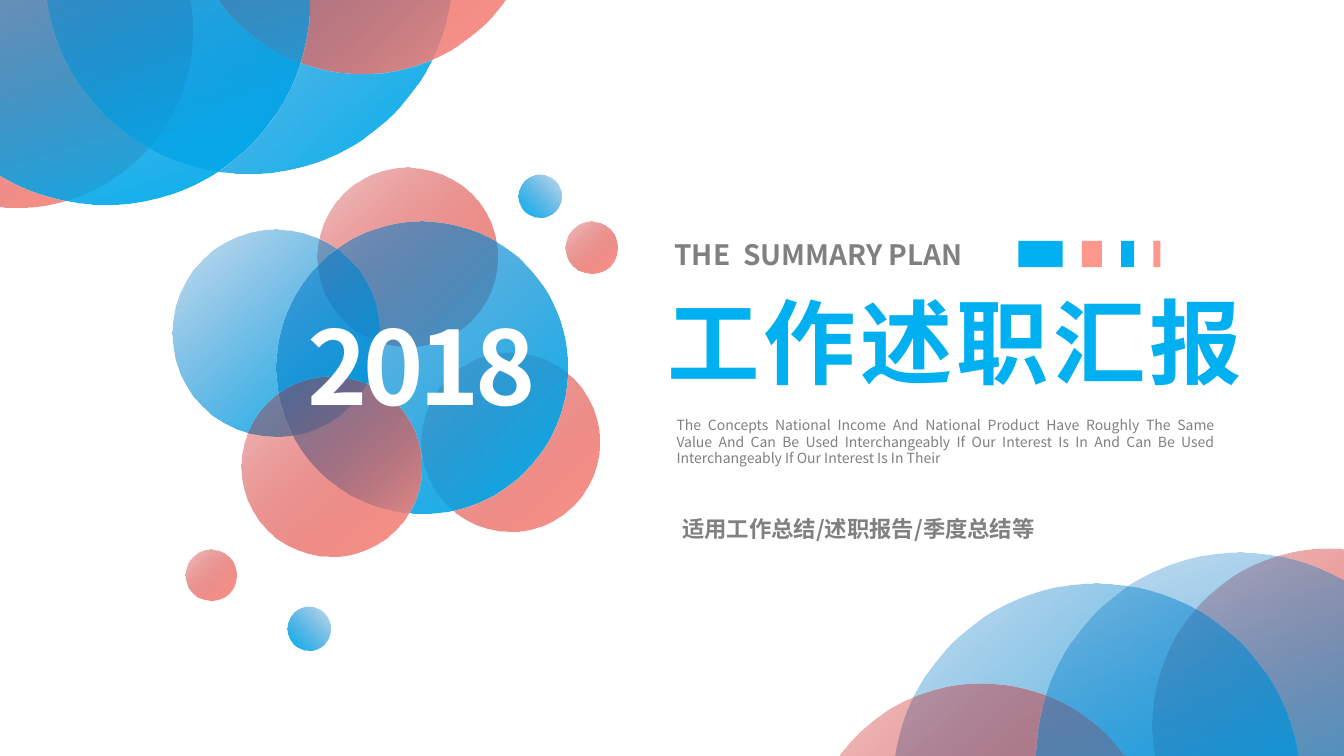
from lxml import etree
from pptx import Presentation
from pptx.dml.color import RGBColor as RGB
from pptx.enum.shapes import MSO_SHAPE as Shape
from pptx.enum.text import MSO_AUTO_SIZE as Auto, PP_ALIGN as Align
from pptx.oxml.ns import qn
from pptx.util import Inches, Pt

FONT = "Noto Sans CJK SC"
HUES = {"blue": "00B0F0", "navy": "0070C0", "rose": "FE978C", "red": "C00000",
        "gray": "808080", "white": "FFFFFF"}
FADES = {"blue": ("navy", "blue"), "rose": ("red", "rose")}
DOWN, STEEP, BACK = 312, 288, 225  # gradient angles, counter-clockwise

# left, top, diameter, hue, opacity of the pale end in percent, angle
CIRCLES = [
    (-1.59, -1.44, 3.5, "rose", 22, DOWN),
    (0.44, -2.33, 4.05, "blue", 22, DOWN),
    (1.84, -2.77, 3.5, "rose", 22, DOWN),
    (-0.98, -2.02, 4.05, "blue", 22, STEEP),
    (11.43, 5.44, 3.5, "rose", 22, DOWN),
    (8.85, 5.79, 4.05, "blue", 22, DOWN),
    (7.99, 6.78, 3.5, "rose", 22, DOWN),
    (10.28, 5.48, 4.05, "blue", 22, STEEP),
    (3.15, 1.66, 1.78, "rose", 22, DOWN),
    (4.18, 3.5, 1.77, "rose", 22, DOWN),
    (1.71, 2.28, 2.05, "blue", 22, DOWN),
    (2.74, 2.2, 2.89, "blue", 44, DOWN),
    (5.14, 1.73, 0.43, "blue", 22, BACK),
    (5.61, 2.2, 0.51, "rose", 22, DOWN),
    (2.4, 3.74, 1.78, "rose", 22, DOWN),
    (2.85, 6.02, 0.43, "blue", 22, BACK),
    (1.84, 5.45, 0.51, "rose", 22, DOWN),
]

BARS = [(0.44, "blue"), (0.2, "rose"), (0.13, "blue"), (0.07, "rose")]
BAR_X, BAR_Y, BAR_H, BAR_GAP = 10.1, 2.39, 0.26, 0.19

BODY = ("The Concepts National Income And National Product Have Roughly The Same "
        "Value And Can Be Used Interchangeably If Our Interest Is In And Can Be Used "
        "Interchangeably If Our Interest Is In Their")

# box, runs as (text, letter spacing in points), size, bold, hue, align, (side, top) inset
TEXTS = [
    ((6.64, 4.09, 5.47, 0.75), [(BODY, 0)], 10, False, "gray", Align.JUSTIFY, (0.07, 0.04)),
    ((6.52, 2.78, 6.41, 1.21), [("工作述职汇报", 3)], 66, True, "blue", Align.LEFT, (0.1, 0.05)),
    ((6.08, 5.06, 4.87, 0.37), [("适用工作总结/述职报告/季度总结等", 0)], 16, True, "gray",
     Align.CENTER, (0.1, 0.05)),
    ((2.77, 2.96, 2.83, 1.38), [("2018", -3)], 73, True, "white", Align.CENTER, (0.1, 0.05)),
    ((6.59, 2.31, 3.69, 0.44), [("THE", 0), (" ", 4.5), ("SUMMARY PLAN", 0)], 20, True, "gray",
     Align.LEFT, (0.1, 0.05)),
]


def color(name):
    return RGB.from_string(HUES[name])


def add_form(slide, kind, *box):
    form = slide.shapes.add_shape(kind, *map(Inches, box))
    form.shadow.inherit = False
    form.line.fill.background()
    return form


def add_circle(slide, left, top, size, hue, alpha, angle):
    disc = add_form(slide, Shape.OVAL, left, top, size, size)
    fill = disc.fill
    fill.gradient()
    fill.gradient_angle = angle
    for stop, name, place in zip(fill.gradient_stops, FADES[hue], (0, 1)):
        stop.color.rgb = color(name)
        stop.position = place
    pale = next(disc.element.iter(qn("a:srgbClr")))
    etree.SubElement(pale, qn("a:alpha")).set("val", str(alpha * 1000))


def add_text(slide, box, runs, size, bold, hue, align, inset):
    frame = slide.shapes.add_textbox(*map(Inches, box)).text_frame
    side, top = map(Inches, inset)
    form = {"word_wrap": True, "auto_size": Auto.SHAPE_TO_FIT_TEXT,
            "margin_left": side, "margin_right": side,
            "margin_top": top, "margin_bottom": top}
    for key, val in form.items():
        setattr(frame, key, val)
    para = frame.paragraphs[0]
    para.alignment = align
    for words, gap in runs:
        run = para.add_run()
        run.text = words
        for key, val in {"size": Pt(size), "bold": bold, "name": FONT}.items():
            setattr(run.font, key, val)
        run.font.color.rgb = color(hue)
        props = run.font.element if hasattr(run.font, "element") else run._r.get_or_add_rPr()
        etree.SubElement(props, qn("a:ea")).set("typeface", FONT)
        if gap:
            props.set("spc", str(int(gap * 100)))


def main():
    deck = Presentation()
    deck.slide_width, deck.slide_height = Inches(13.33), Inches(7.5)
    slide = deck.slides.add_slide(deck.slide_layouts[6])
    for circle in CIRCLES:
        add_circle(slide, *circle)
    left = BAR_X
    for width, hue in BARS:
        bar = add_form(slide, Shape.RECTANGLE, left, BAR_Y, width, BAR_H)
        bar.fill.solid()
        bar.fill.fore_color.rgb = color(hue)
        left += width + BAR_GAP
    for text in TEXTS:
        add_text(slide, *text)
    deck.save("out.pptx")


if __name__ == "__main__":
    main()
